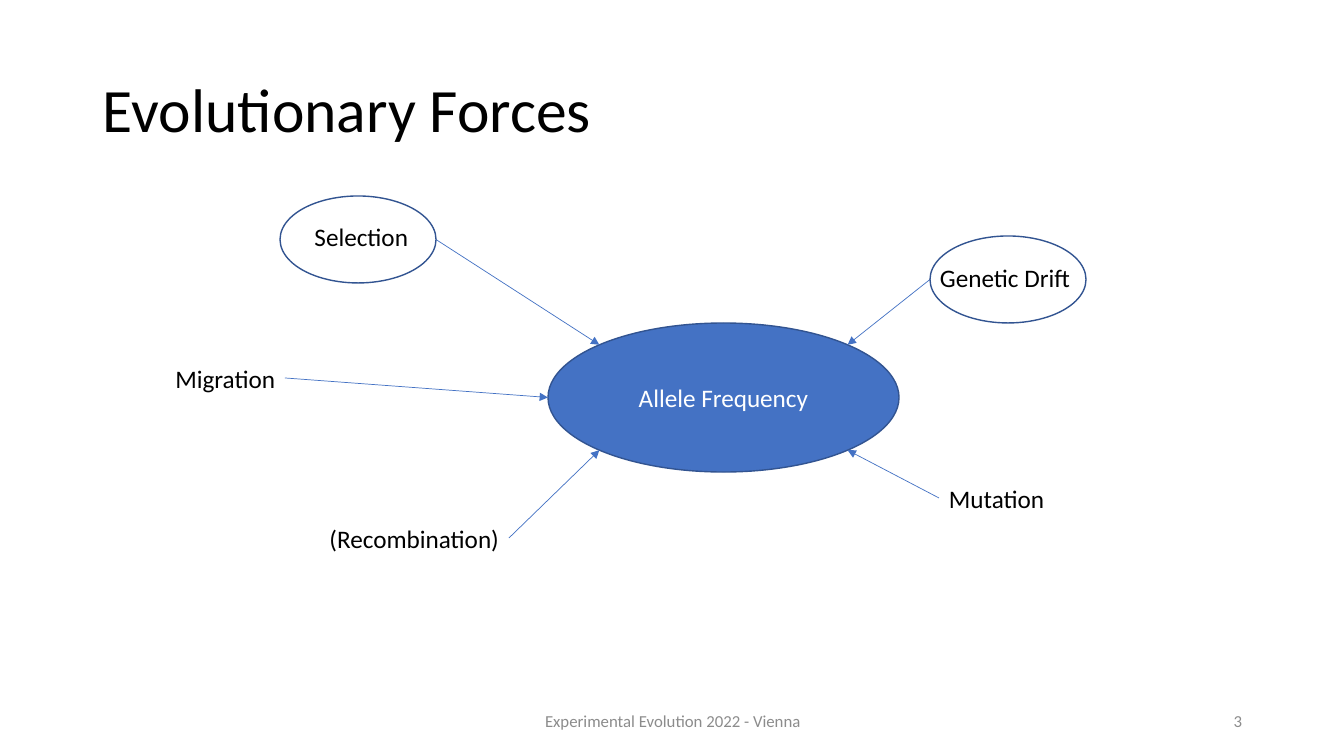
from math import cos, radians, sin

from lxml import etree
from pptx import Presentation
from pptx.dml.color import RGBColor
from pptx.enum.shapes import MSO_CONNECTOR as CONN, MSO_SHAPE as SHAPE
from pptx.enum.text import MSO_ANCHOR as ANCHOR, PP_ALIGN as ALIGN
from pptx.oxml.ns import qn
from pptx.util import Pt

PX = 914400 / 100.8
BLACK = RGBColor(0x00, 0x00, 0x00)
WHITE = RGBColor(0xFF, 0xFF, 0xFF)
GREY = RGBColor(0x8C, 0x8C, 0x8C)
BLUE = RGBColor(0x44, 0x72, 0xC4)
DARK_BLUE = RGBColor(0x32, 0x54, 0x91)

# text, box within the diagram, alignment, oval around it,
# angle at which its arrow meets the hub (clockwise from the right)
FORCES = [
    ("Selection", (133, 20, 121, 40), ALIGN.RIGHT, (116, 0, 156, 87), 225),
    ("Genetic Drift", (766, 61, 170, 40), ALIGN.LEFT, (766, 40, 156, 87), 315),
    ("Migration", (0, 162, 121, 40), ALIGN.RIGHT, None, 180),
    ("Mutation", (775, 282, 121, 40), ALIGN.LEFT, None, 45),
    ("(Recombination)", (150, 322, 195, 40), ALIGN.RIGHT, None, 135),
]


def px(*lengths):
    return [round(n * PX) for n in lengths]


def write(sp, text, size, color=BLACK, align=ALIGN.LEFT, anchor=ANCHOR.MIDDLE):
    tf = sp.text_frame
    tf.word_wrap = True
    tf.vertical_anchor = anchor
    p = tf.paragraphs[0]
    p.alignment = align
    r = p.add_run()
    r.text = text
    for name, value in {"name": "Calibri", "size": Pt(size)}.items():
        setattr(r.font, name, value)
    r.font.color.rgb = color
    return p


def add_text(slide, box, *args, **kwargs):
    sp = slide.shapes.add_textbox(*px(*box))
    return sp, write(sp, *args, **kwargs)


def add_oval(slide, box, fill=None):
    sp = slide.shapes.add_shape(SHAPE.OVAL, *px(*box))
    sp.shadow.inherit = False
    if fill is None:
        sp.fill.background()
    else:
        sp.fill.solid()
        sp.fill.fore_color.rgb = fill
    sp.line.color.rgb = DARK_BLUE
    sp.line.width = Pt(1)
    return sp


def add_arrow(slide, start, end):
    line = slide.shapes.add_connector(CONN.STRAIGHT, *px(*start, *end))
    line.line.color.rgb = BLUE
    line.line.width = Pt(0.5)
    etree.SubElement(line.line._get_or_add_ln(), qn("a:tailEnd"), type="triangle")
    etree.SubElement(line._element.spPr, qn("a:effectLst"))
    return line


def add_title(slide, box):
    _, p = add_text(slide, box, "Evolutionary Forces", 44)
    p.line_spacing = 0.9


def add_diagram(slide, x, y):
    # Central hub
    hub_x, hub_y, hub_w, hub_h = x + 384, y + 127, 351, 149
    hub = add_oval(slide, (hub_x, hub_y, hub_w, hub_h), BLUE)
    write(hub, "Allele Frequency", 18, WHITE, ALIGN.CENTER)

    # Forces, each with an arrow to the hub
    for text, (dx, dy, w, h), align, oval, angle in FORCES:
        label, _ = add_text(slide, (x + dx, y + dy, w, h), text, 18,
                            align=align, anchor=ANCHOR.TOP)
        on_left = align == ALIGN.RIGHT
        sx, sy, sw, sh = oval or (dx, dy, w, h)
        start = (x + sx + (sw if on_left else 0), y + sy + sh / 2)
        a = radians(angle)
        end = (hub_x + hub_w / 2 * (1 + cos(a)),
               hub_y + hub_h / 2 * (1 + sin(a)))
        arrow = add_arrow(slide, start, end)
        if oval:
            add_oval(slide, (x + sx, y + sy, sw, sh))
        else:
            arrow.begin_connect(label, 3 if on_left else 1)


def add_footer(slide, x, y, w, h):
    add_text(slide, (x, y, 454, h), "Experimental Evolution 2022 - Vienna", 12,
             GREY, ALIGN.CENTER)
    add_text(slide, (x + w - 302, y, 302, h), "3", 12, GREY, ALIGN.RIGHT)


def main():
    prs = Presentation()
    prs.slide_width, prs.slide_height = px(1344, 756)
    slide = prs.slides.add_slide(prs.slide_layouts[6])
    add_title(slide, (93, 40, 1159, 146))
    add_diagram(slide, 164, 196)
    add_footer(slide, 446, 701, 806, 40)
    prs.save("out.pptx")


if __name__ == "__main__":
    main()
